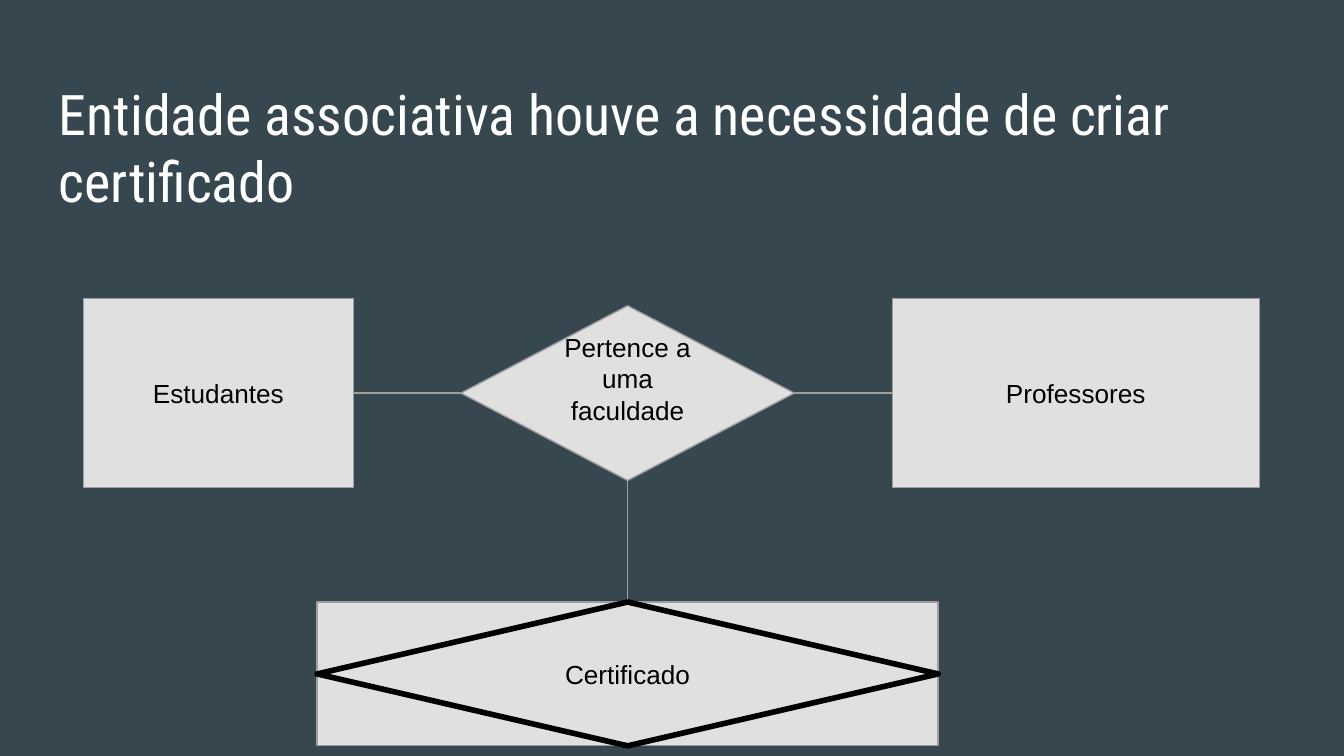
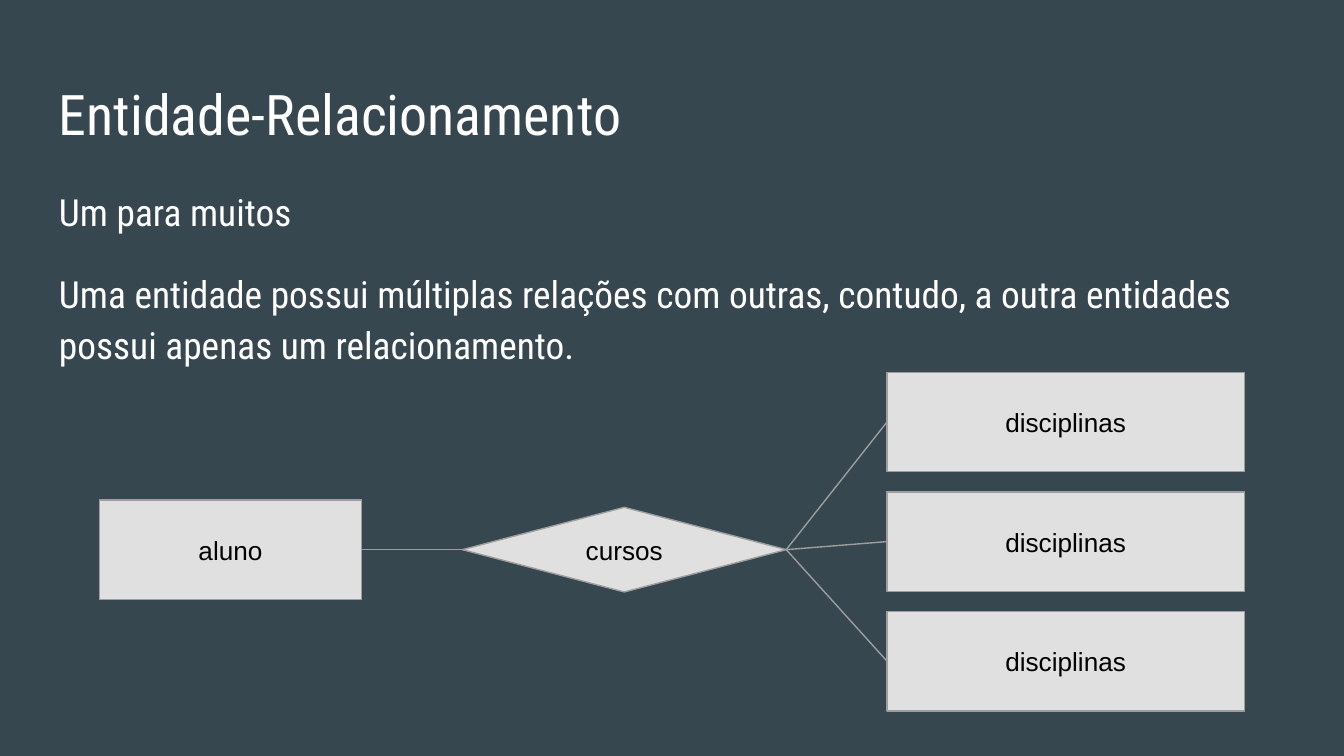
from dataclasses import dataclass

from lxml.etree import SubElement
from pptx import Presentation
from pptx.dml.color import RGBColor
from pptx.enum.shapes import MSO_CONNECTOR, MSO_SHAPE
from pptx.enum.text import MSO_ANCHOR, PP_ALIGN
from pptx.oxml.ns import qn
from pptx.util import Inches, Pt


@dataclass(frozen=True)
class Theme:
    back: str = "37474F"
    panel: str = "E0E0E0"
    edge: str = "9E9E9E"
    ink: str = "000000"
    light: str = "FFFFFF"
    head: str = "Roboto Condensed"
    plain: str = "Arial"
    title: int = 30
    body: int = 20
    label: int = 14
    thin: float = 0.75
    thick: float = 3


THEME = Theme()
CELL = 0.1  # inches to a grid column or row
COLS, ROWS = 100, 56.25
PAD = 1  # text inset, in cells
LEFT, TOP, RIGHT, BOTTOM = 0, 1, 2, 3
TITLE_BOX = (3.4, 4.9, 93.2, 6.3)
BODY_BOX = (3.4, 12.6, 93.2, 37.4)
RECT, DIAMOND = MSO_SHAPE.RECTANGLE, MSO_SHAPE.FLOWCHART_DECISION
# Connection sites run counterclockwise from the top
SITE_TOP, SITE_LEFT, SITE_BOTTOM, SITE_RIGHT = range(4)


def cells(*sizes):
    return [Inches(size * CELL) for size in sizes]


def within(box, part):
    """Place a part, measured from the box corner, on the slide grid."""
    left, top, width, height = part
    return box[LEFT] + left, box[TOP] + top, width, height


def assign(target, values):
    for name, value in values.items():
        setattr(target, name, value)


def write(frame, lines, font, size, color, form, foot=PAD):
    pad, low = cells(PAD, foot)
    assign(frame, {"word_wrap": True, "margin_left": pad, "margin_right": pad,
                   "margin_top": pad, "margin_bottom": low})
    for index, text in enumerate(lines):
        para = frame.paragraphs[0] if index == 0 else frame.add_paragraph()
        assign(para, form)
        run = para.add_run()
        run.text = text
        assign(run.font, {"name": font, "size": Pt(size)})
        run.font.color.rgb = RGBColor.from_string(color)


def prose(slide, box, lines, size, form):
    frame = slide.shapes.add_textbox(*cells(*box)).text_frame
    write(frame, lines, THEME.head, size, THEME.light, form)


def node(slide, kind, box, lines=(), edge=THEME.edge, weight=THEME.thin,
         foot=PAD):
    shape = slide.shapes.add_shape(kind, *cells(*box))
    shape.shadow.inherit = False
    shape.fill.solid()
    shape.fill.fore_color.rgb = RGBColor.from_string(THEME.panel)
    shape.line.color.rgb = RGBColor.from_string(edge)
    shape.line.width = Pt(weight)
    shape.text_frame.vertical_anchor = MSO_ANCHOR.MIDDLE
    write(shape.text_frame, lines, THEME.plain, THEME.label, THEME.ink,
          {"alignment": PP_ALIGN.CENTER}, foot)
    return shape


def link(slide, start, exit, end, entry):
    line = slide.shapes.add_connector(MSO_CONNECTOR.STRAIGHT, 0, 0, 0, 0)
    line.begin_connect(start, exit)
    line.end_connect(end, entry)
    line.line.color.rgb = RGBColor.from_string(THEME.edge)
    line.line.width = Pt(THEME.thin)
    SubElement(line._element.spPr, qn("a:effectLst"))


def page(deck, title):
    slide = deck.slides.add_slide(deck.slide_layouts[6])
    slide.background.fill.solid()
    slide.background.fill.fore_color.rgb = RGBColor.from_string(THEME.back)
    prose(slide, TITLE_BOX, [title], THEME.title, {})
    return slide


def bridge(slide, box):
    """Two entities joined by a relation that yields a certificate."""
    # Entities at both ends, relation between them
    tall, wide = 14.1, 27.3
    pupil = node(slide, RECT, within(box, (0, 0, 20.1, tall)), ["Estudantes"])
    tutor = node(slide, RECT,
                 within(box, (box[RIGHT] - wide, 0, wide, tall)),
                 ["Professores"])
    bond = node(slide, DIAMOND, within(box, (28.1, 0.55, 24.8, 13)),
                ["Pertence a uma", "faculdade"], foot=3.2)
    link(slide, pupil, SITE_RIGHT, bond, SITE_LEFT)
    link(slide, bond, SITE_RIGHT, tutor, SITE_LEFT)

    # Associative entity: a diamond inside a rectangle
    high = 10.7
    spot = within(box, (17.4, box[BOTTOM] - high, 46.2, high))
    base = node(slide, RECT, spot)
    link(slide, bond, SITE_BOTTOM, base, SITE_TOP)
    node(slide, DIAMOND, spot, ["Certificado"], THEME.ink, THEME.thick)


def fan(slide, box):
    """One entity related to a stack of many."""
    tall, wide, count = 7.4, 26.6, 3
    one = node(slide, RECT, within(box, (0, 9.5, 19.5, tall)), ["aluno"])
    bond = node(slide, DIAMOND, within(box, (27, 10.05, 24.1, 6.3)),
                ["cursos"])
    link(slide, one, SITE_RIGHT, bond, SITE_LEFT)

    # Equal steps down the right edge
    step = (box[BOTTOM] - tall) / (count - 1)
    for row in range(count):
        spot = within(box, (box[RIGHT] - wide, row * step, wide, tall))
        item = node(slide, RECT, spot, ["disciplinas"])
        link(slide, bond, SITE_RIGHT, item, SITE_LEFT)


deck = Presentation()
deck.slide_width, deck.slide_height = cells(COLS, ROWS)

# Associative entity
slide = page(deck, "Entidade associativa houve a necessidade de criar "
                   "certificado")
bridge(slide, (6.2, 22.2, 87.5, 33.3))

# One to many
slide = page(deck, "Entidade-Relacionamento")
prose(slide, BODY_BOX,
      ["Um para muitos",
       "Uma entidade possui múltiplas relações com outras, contudo, a outra "
       "entidades possui apenas um relacionamento."],
      THEME.body, {"line_spacing": 1.15, "space_after": Pt(16)})
fan(slide, (7.4, 27.7, 85.2, 25.2))

deck.save("out.pptx")
